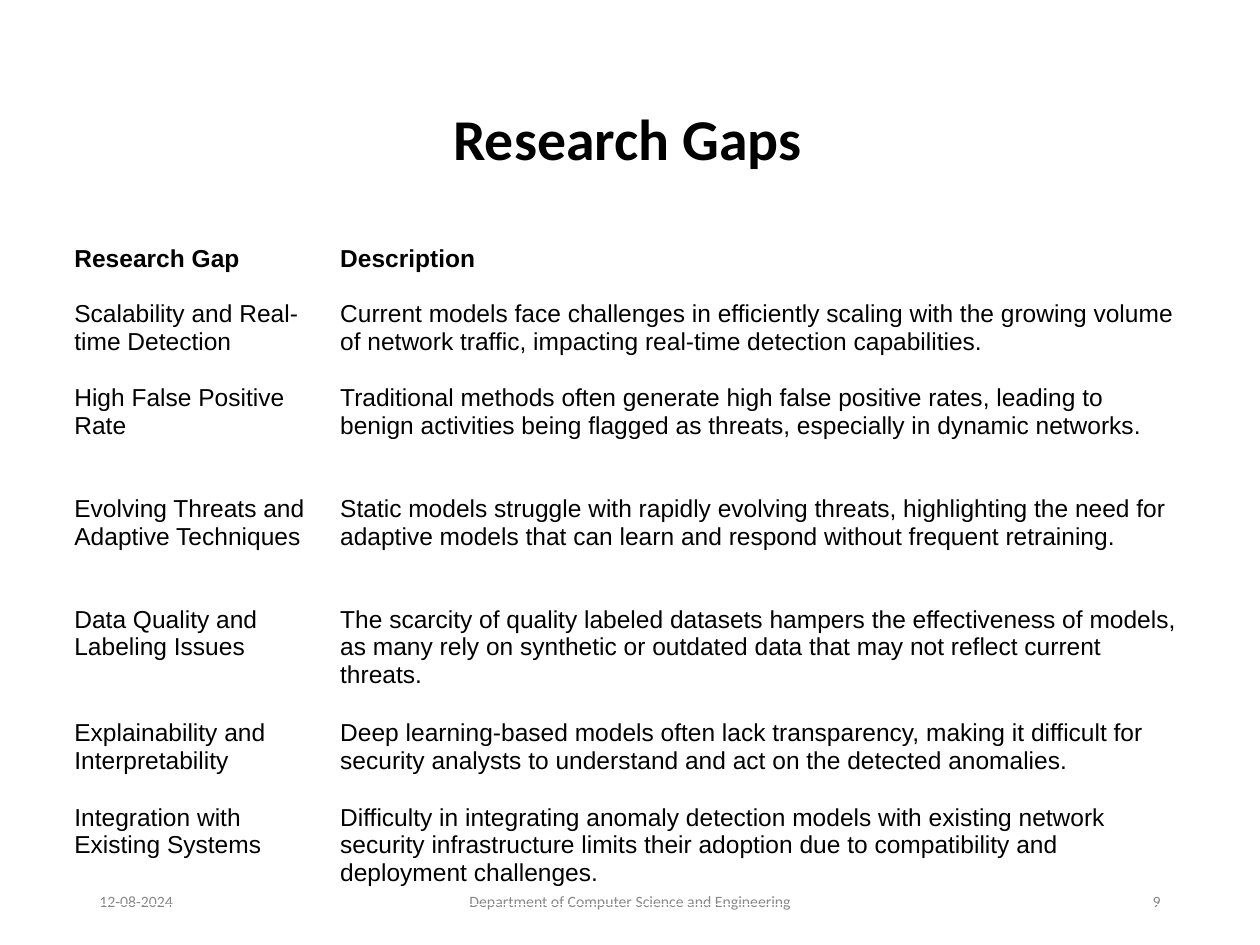
"""Build the Research Gaps slide with its title, table and footer."""
from pptx import Presentation
from pptx.dml.color import RGBColor
from pptx.enum.text import MSO_ANCHOR, PP_ALIGN
from pptx.util import Pt

PX = 9144
LEFT, CENTER, RIGHT = PP_ALIGN.LEFT, PP_ALIGN.CENTER, PP_ALIGN.RIGHT
TOP, MIDDLE = MSO_ANCHOR.TOP, MSO_ANCHOR.MIDDLE

COLUMNS = [211, 688]
ROWS = [
    (43, "Research Gap", "Description"),
    (65, "Scalability and Real-time Detection",
     "Current models face challenges in efficiently scaling with the growing volume "
     "of network traffic, impacting real-time detection capabilities."),
    (88, "High False Positive Rate",
     "Traditional methods often generate high false positive rates, leading to "
     "benign activities being flagged as threats, especially in dynamic networks."),
    (88, "Evolving Threats and Adaptive Techniques",
     "Static models struggle with rapidly evolving threats, highlighting the need for "
     "adaptive models that can learn and respond without frequent retraining."),
    (88, "Data Quality and Labeling Issues",
     "The scarcity of quality labeled datasets hampers the effectiveness of models, "
     "as many rely on synthetic or outdated data that may not reflect current threats."),
    (65, "Explainability and Interpretability",
     "Deep learning-based models often lack transparency, making it difficult for "
     "security analysts to understand and act on the detected anomalies."),
    (88, "Integration with Existing Systems",
     "Difficulty in integrating anomaly detection models with existing network "
     "security infrastructure limits their adoption due to compatibility and "
     "deployment challenges."),
]
FOOTER = [
    (69, 225, "12-08-2024", LEFT),
    (331, 338, "Department of Computer Science and Engineering", CENTER),
    (706, 225, "9", RIGHT),
]


def rgb(value):
    return RGBColor.from_string(value)


class Deck:
    heading_font, body_font = "Calibri", "Arial"
    ink, muted = "000000", "888888"

    def __init__(self, width, height):
        self.prs = Presentation()
        self.prs.slide_width, self.prs.slide_height = width * PX, height * PX
        self.s = self.prs.slides.add_slide(self.prs.slide_layouts[6])

    def style(self, p, font, size, color, bold=False):
        p.font.name, p.font.size, p.font.bold = font, Pt(size), bold
        p.font.color.rgb = rgb(color)

    def text(self, x, y, w, h, text, size, color, align, bold=False, spacing=1.0):
        sp = self.s.shapes.add_textbox(x * PX, y * PX, w * PX, h * PX)
        tf = sp.text_frame
        tf.word_wrap, tf.vertical_anchor = True, MIDDLE
        p = tf.paragraphs[0]
        p.text, p.alignment, p.line_spacing = text, align, spacing
        self.style(p, self.heading_font, size, color, bold)

    def table(self, x, y, columns, rows, size, inset):
        height = sum(row[0] for row in rows)
        table = self.s.shapes.add_table(
            len(rows), len(columns), x * PX, y * PX, sum(columns) * PX, height * PX).table
        table.first_row = table.horz_banding = False
        for column, width in zip(table.columns, columns):
            column.width = width * PX
        for i, (row_height, *texts) in enumerate(rows):
            table.rows[i].height = row_height * PX
            for cell, text in zip(table.rows[i].cells, texts):
                cell.fill.background()
                cell.vertical_anchor = TOP
                cell.margin_left = cell.margin_right = inset * PX
                cell.margin_top = cell.margin_bottom = inset * PX
                p = cell.text_frame.paragraphs[0]
                p.text = text
                self.style(p, self.body_font, size, self.ink, bold=i == 0)


def main():
    deck = Deck(1000, 750)
    deck.text(67, 40, 862, 145, "Research Gaps", 33, deck.ink, CENTER, bold=True, spacing=0.9)
    for x, width, text, align in FOOTER:
        deck.text(x, 695, width, 40, text, 9, deck.muted, align)
    deck.table(49, 185, COLUMNS, ROWS, size=14, inset=10)
    deck.prs.save("out.pptx")


if __name__ == "__main__":
    main()
